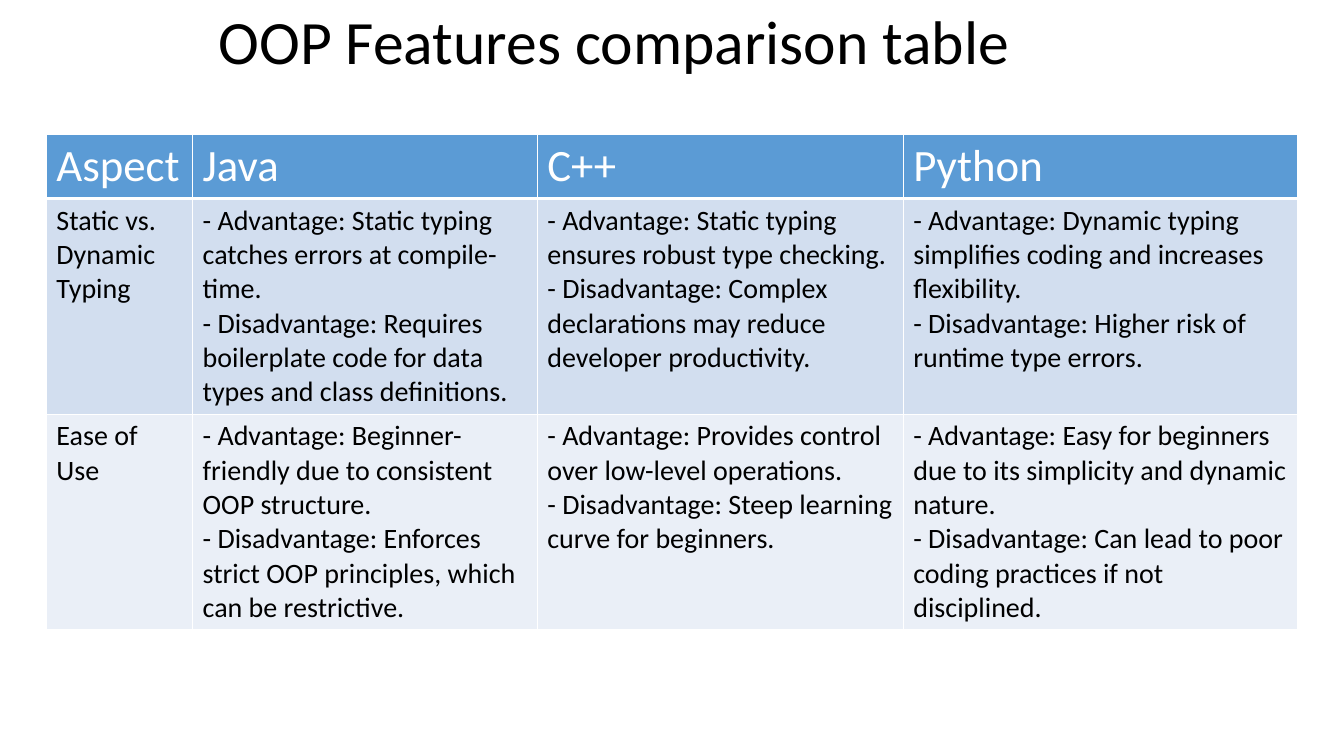
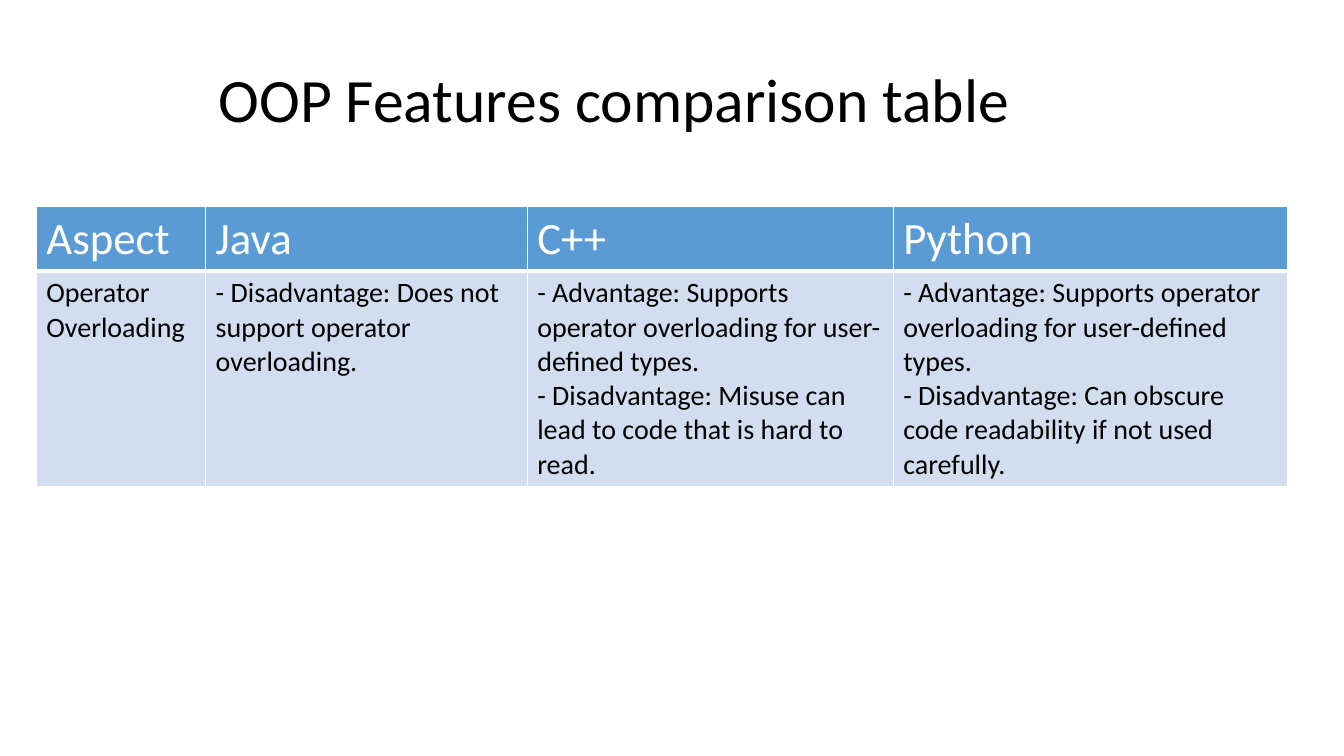
from lxml.etree import SubElement
from pptx import Presentation
from pptx.dml.color import RGBColor
from pptx.enum.text import MSO_ANCHOR
from pptx.oxml.ns import qn
from pptx.util import Inches, Pt

# Shared look
COLORS = {
    "title": "000000",
    "header": "5B9BD5",
    "header_text": "FFFFFF",
    "bands": ["D2DEEF", "EAEFF7"],
    "body_text": "000000",
    "border": "FFFFFF",
}
TITLE_FONT = {"name": "Calibri", "size": Pt(44)}
HEADER_FONT = {"name": "Calibri", "size": Pt(32), "bold": False}
BODY_FONT = {"name": "Calibri", "size": Pt(20), "bold": False}
TITLE = "OOP Features comparison table"
HEADERS = ["Aspect", "Java", "C++", "Python"]

presentation = Presentation()
presentation.slide_width = Inches(13.33)
presentation.slide_height = Inches(7.5)

# The grid has 100 columns and 100 rows
COLUMN = presentation.slide_width / 100
ROW = presentation.slide_height / 100
TITLE_LEFT, TITLE_WIDTH, TITLE_HEIGHT = 15.53, 67.5, 16.67
ASPECT_AND_JAVA, CPP, PYTHON = 36.53, 27.23, 29.33
HEADER_HEIGHT, BODY_HEIGHT = 8.53, 28.53

# Positions and rows of each slide; a cell holds one string per paragraph
SLIDES = [
    {
        "title_top": -2.4, "table_left": 3.45, "table_top": 17.73, "aspect": 10.88,
        "rows": [
            [
                ["Static vs. Dynamic Typing"],
                ["- Advantage: Static typing catches errors at compile-time.",
                 "- Disadvantage: Requires boilerplate code for data types and class definitions."],
                ["- Advantage: Static typing ensures robust type checking.",
                 "- Disadvantage: Complex declarations may reduce developer productivity."],
                ["- Advantage: Dynamic typing simplifies coding and increases flexibility.",
                 "- Disadvantage: Higher risk of runtime type errors."],
            ],
            [
                ["Ease of Use"],
                ["- Advantage: Beginner-friendly due to consistent OOP structure.",
                 "- Disadvantage: Enforces strict OOP principles, which can be restrictive."],
                ["- Advantage: Provides control over low-level operations.",
                 "- Disadvantage: Steep learning curve for beginners."],
                ["- Advantage: Easy for beginners due to its simplicity and dynamic nature.",
                 "- Disadvantage: Can lead to poor coding practices if not disciplined."],
            ],
        ],
    },
    {
        "title_top": 5.2, "table_left": 2.7, "table_top": 27.33, "aspect": 12.6,
        "rows": [
            [
                ["Operator Overloading"],
                ["- Disadvantage: Does not support operator overloading."],
                ["- Advantage: Supports operator overloading for user-defined types.",
                 "- Disadvantage: Misuse can lead to code that is hard to read."],
                ["- Advantage: Supports operator overloading for user-defined types.",
                 "- Disadvantage: Can obscure code readability if not used carefully."],
            ],
        ],
    },
]


def write_text(text_frame, lines, font_format, color):
    text_frame.text = "\n".join(lines)
    for paragraph in text_frame.paragraphs:
        font = paragraph.runs[0].font
        for attribute, value in font_format.items():
            setattr(font, attribute, value)
        font.color.rgb = RGBColor.from_string(color)


def style_cell(cell, fill_color, bottom_width):
    # Borders come before the fill in the cell properties
    properties = cell._tc.get_or_add_tcPr()
    for side, width in {"lnL": 1, "lnR": 1, "lnT": 1, "lnB": bottom_width}.items():
        line = SubElement(properties, qn(f"a:{side}"), w=str(Pt(width)))
        line_fill = SubElement(line, qn("a:solidFill"))
        SubElement(line_fill, qn("a:srgbClr"), val=COLORS["border"])
    cell.fill.solid()
    cell.fill.fore_color.rgb = RGBColor.from_string(fill_color)


for content in SLIDES:
    slide = presentation.slides.add_slide(presentation.slide_layouts[6])

    # Title
    title = slide.shapes.add_textbox(
        int(TITLE_LEFT * COLUMN), int(content["title_top"] * ROW),
        int(TITLE_WIDTH * COLUMN), int(TITLE_HEIGHT * ROW))
    title.text_frame.word_wrap = True
    title.text_frame.vertical_anchor = MSO_ANCHOR.MIDDLE
    write_text(title.text_frame, [TITLE], TITLE_FONT, COLORS["title"])
    title.text_frame.paragraphs[0].line_spacing = 0.9

    # Table grid
    widths = [content["aspect"], ASPECT_AND_JAVA - content["aspect"], CPP, PYTHON]
    heights = [HEADER_HEIGHT] + [BODY_HEIGHT] * len(content["rows"])
    table = slide.shapes.add_table(
        len(heights), len(widths),
        int(content["table_left"] * COLUMN), int(content["table_top"] * ROW),
        int(sum(widths) * COLUMN), int(sum(heights) * ROW)).table
    table.first_row = table.horz_banding = False
    for column, width in zip(table.columns, widths):
        column.width = int(width * COLUMN)
    for row, height in zip(table.rows, heights):
        row.height = int(height * ROW)

    # Header row
    for cell, header in zip(table.rows[0].cells, HEADERS):
        style_cell(cell, COLORS["header"], 3)
        write_text(cell.text_frame, [header], HEADER_FONT, COLORS["header_text"])

    # Body rows in alternating bands
    for index, row_cells in enumerate(content["rows"]):
        for cell, lines in zip(table.rows[index + 1].cells, row_cells):
            style_cell(cell, COLORS["bands"][index % 2], 1)
            write_text(cell.text_frame, lines, BODY_FONT, COLORS["body_text"])

presentation.save("out.pptx")
